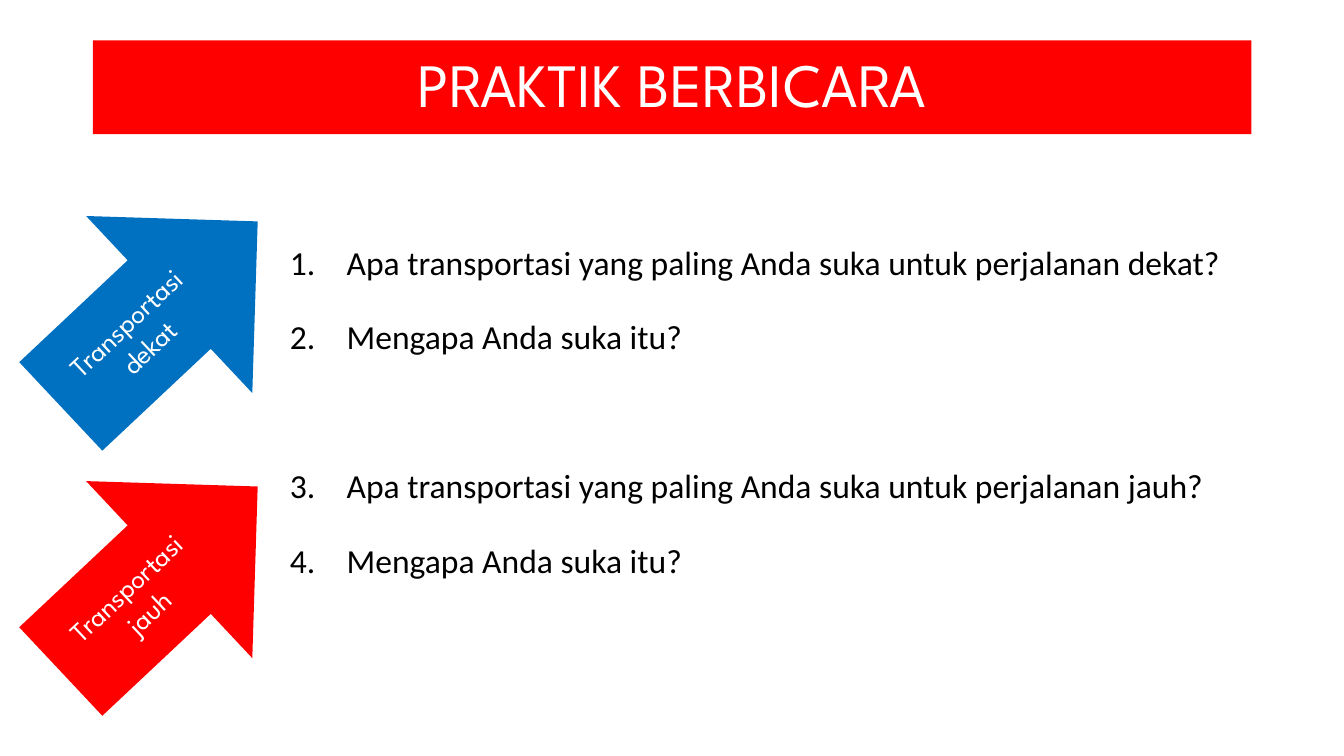
from lxml.etree import SubElement
from pptx import Presentation
from pptx.dml.color import RGBColor as RGB
from pptx.enum.shapes import MSO_SHAPE as SHAPE
from pptx.enum.text import MSO_ANCHOR as ANCHOR, PP_ALIGN as ALIGN
from pptx.oxml.ns import qn
from pptx.util import Cm, Pt

RED = RGB(0xFF, 0x00, 0x00)
BLUE = RGB(0x00, 0x70, 0xC0)
WHITE = RGB(0xFF, 0xFF, 0xFF)
BLACK = RGB(0x00, 0x00, 0x00)
HEAD = "League Spartan"
BODY = "Calibri"


def write(par, text, size, font=HEAD, color=WHITE, align=ALIGN.CENTER,
          space=None, before=0, number=False):
    if number:
        props = par._p.get_or_add_pPr()
        props.set("marL", str(Cm(1.43)))
        props.set("indent", str(-Cm(1.43)))
        SubElement(props, qn("a:buFont"), typeface="+mj-lt")
        SubElement(props, qn("a:buAutoNum"), type="arabicPeriod")
    par.alignment = align
    par.line_spacing = space
    if before:
        par.space_before = Pt(before)
    run = par.add_run()
    run.text = text
    run.font.size = Pt(size)
    run.font.name = font
    run.font.color.rgb = color


def block(slide, kind, box, fill, text, size, **style):
    shape = slide.shapes.add_shape(kind, *map(Cm, box))
    shape.shadow.inherit = False
    shape.fill.solid()
    shape.fill.fore_color.rgb = fill
    shape.line.fill.background()
    frame = shape.text_frame
    frame.word_wrap = True
    frame.vertical_anchor = ANCHOR.MIDDLE
    write(frame.paragraphs[0], text, size, **style)
    return shape


def title(slide, box, text):
    block(slide, SHAPE.RECTANGLE, box, RED, text, 44, space=0.9)


def arrows(slide, box, items):
    left, top, width, height = box
    tall = 6.12
    step = (height - tall) / (len(items) - 1)
    for i, (text, fill) in enumerate(items):
        place = (left, top + i * step, width, tall)
        arrow = block(slide, SHAPE.RIGHT_ARROW, place, fill, text, 20)
        arrow.rotation = 316.8


def questions(slide, box, items):
    frame = slide.shapes.add_textbox(*map(Cm, box)).text_frame
    frame.word_wrap = True
    for i, (text, before) in enumerate(items):
        par = frame.add_paragraph() if i else frame.paragraphs[0]
        write(par, text, 24, font=BODY, color=BLACK, align=ALIGN.LEFT,
              space=1.5, before=before, number=True)


def main():
    deck = Presentation()
    deck.slide_width, deck.slide_height = Cm(33.88), Cm(19.05)
    slide = deck.slides.add_slide(deck.slide_layouts[6])
    questions(slide, (7.06, 5.46, 25.4, 11.28), [
        ("Apa transportasi yang paling Anda suka untuk perjalanan dekat?", 0),
        ("Mengapa Anda suka itu?", 10),
        ("Apa transportasi yang paling Anda suka untuk perjalanan jauh?", 63),
        ("Mengapa Anda suka itu?", 10),
    ])
    title(slide, (2.34, 1.02, 29.21, 2.36), "PRAKTIK BERBICARA")
    arrows(slide, (0.61, 4.85, 6.81, 12.8), [
        ("Transportasi dekat", BLUE),
        ("Transportasi jauh", RED),
    ])
    deck.save("out.pptx")


if __name__ == "__main__":
    main()
